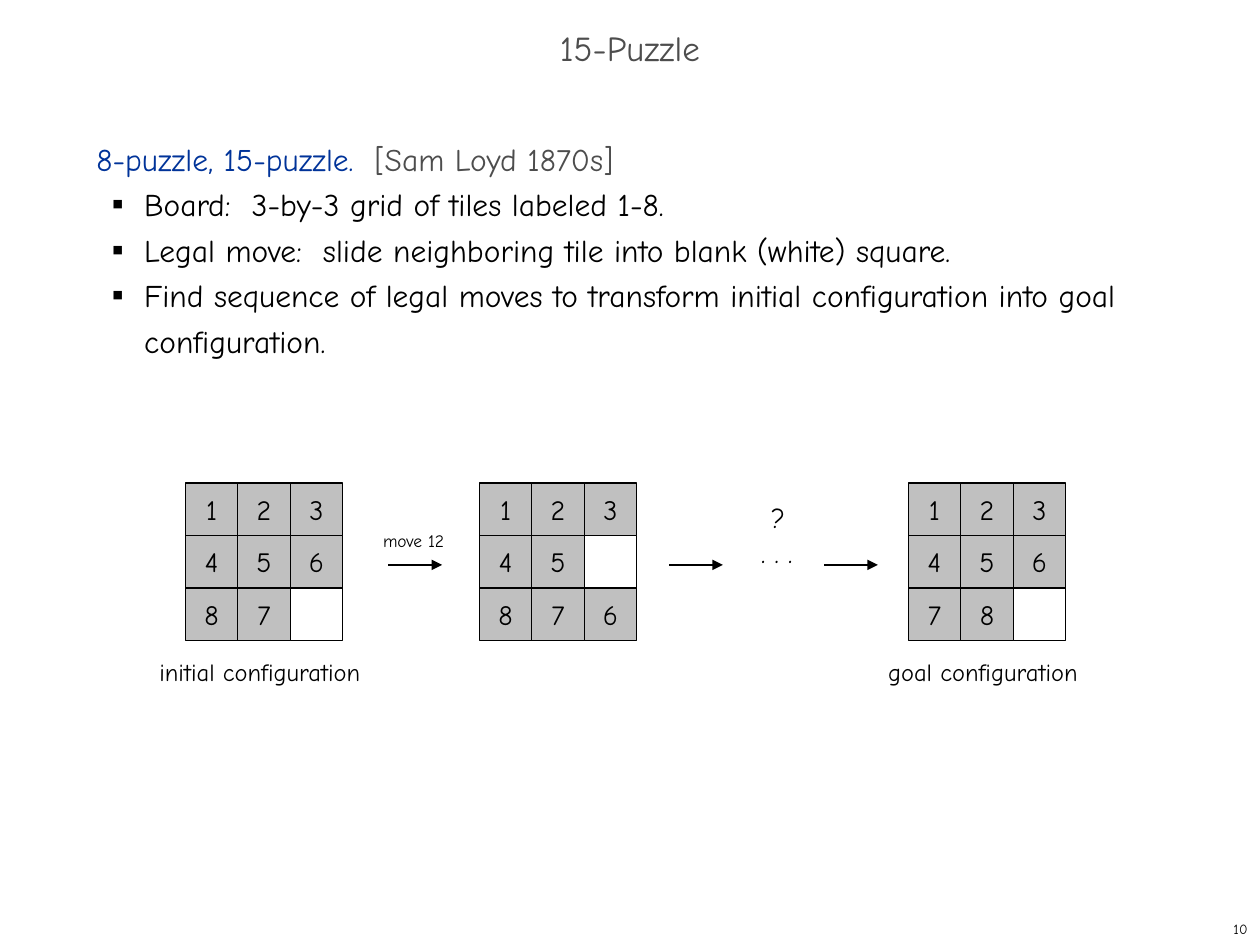
"""Build the 15-Puzzle slide: title, rules and three sliding-tile boards."""
from lxml.etree import SubElement
from pptx import Presentation
from pptx.dml.color import RGBColor
from pptx.enum.shapes import MSO_CONNECTOR as Connector, MSO_SHAPE as Shape
from pptx.enum.text import MSO_ANCHOR as Anchor, PP_ALIGN as Align
from pptx.oxml.ns import qn
from pptx.util import Inches, Pt

FONT = "Comic Neue"
COLUMNS, ROWS = 24, 18
WIDTH, HEIGHT = Inches(10), Inches(7.5)
BLACK, WHITE, SILVER, GRAY, BLUE = "000000", "FFFFFF", "C0C0C0", "4D4D4D", "003399"
BOARD_ROW, ARROW_ROW, CAPTION_ROW = 9.2, 10.76, 12.4
BOARDS = [(3.53, "12345687 "), (17.3, "12345678 "), (9.13, "12345 876")]
ARROWS = [7.4, 12.75, 15.7]
ARROW_LENGTH = 1.02
LABELS = [
    ("initial configuration", 14, (2.8, CAPTION_ROW, 4.32, 0.8)),
    ("goal configuration", 14, (16.68, CAPTION_ROW, 4.1, 0.8)),
    ("move 12", 10, (7.06, 9.98, 1.66, 0.65)),
    (". . .", 16, (14.26, 10.08, 1.08, 0.89)),
    ("?", 16, (14.45, 9.41, 0.74, 0.89)),
]
HEADING = [("8-puzzle, 15-puzzle.  ", BLUE), ("[Sam Loyd 1870s]", GRAY)]
RULES = [
    "Board:  3-by-3 grid of tiles labeled 1-8.",
    "Legal move:  slide neighboring tile into blank (white) square.",
    "Find sequence of legal moves to transform initial configuration into goal configuration.",
]


def color(value):
    """Turn a hex string into a colour."""
    return RGBColor.from_string(value)


def apply(target, formats):
    """Set each attribute in a dict of format values."""
    for name, value in formats.items():
        setattr(target, name, value)


def grid(column, row):
    """Turn grid columns and rows into slide lengths."""
    return round(WIDTH * column / COLUMNS), round(HEIGHT * row / ROWS)


def place(area):
    """Turn left, top, width and height in grid units into slide lengths."""
    left, top, width, height = area
    return *grid(left, top), *grid(width, height)


def write(para, spans, size, **formats):
    """Fill a paragraph with coloured spans."""
    apply(para, formats)
    for text, shade in spans:
        span = para.add_run()
        span.text = text
        apply(span.font, {"name": FONT, "size": Pt(size)})
        span.font.color.rgb = color(shade)


def add_text(page, area, spans, size, frame=None, **formats):
    """Add a text box with one paragraph and return its text frame."""
    box = page.shapes.add_textbox(*place(area))
    apply(box.text_frame, frame or {"word_wrap": True})
    write(box.text_frame.paragraphs[0], spans, size, **formats)
    return box.text_frame


def add_bullet(para):
    """Give a paragraph a hanging indent and a small square bullet."""
    props = para._p.get_or_add_pPr()
    apply_indent = {"marL": Inches(0.38), "indent": Inches(-0.25)}
    for name, value in apply_indent.items():
        props.set(name, str(int(value)))
    SubElement(SubElement(props, qn("a:buClr")), qn("a:srgbClr"), val=BLACK)
    SubElement(props, qn("a:buSzPct"), val="35000")
    SubElement(props, qn("a:buFont"), typeface=FONT)
    SubElement(props, qn("a:buChar"), char="■")


def add_rules(page):
    """Add the heading and the bulleted rules."""
    spacing = {"line_spacing": Pt(26)}
    frame = add_text(page, (1.6, 2.4, 20.6, 14.2), HEADING, 18, **spacing)
    for rule in RULES:
        para = frame.add_paragraph()
        add_bullet(para)
        write(para, [(rule, BLACK)], 18, level=1, **spacing)


def add_tile(page, column, row, digit):
    """Add one board square, white when it holds no digit."""
    tile = page.shapes.add_shape(Shape.RECTANGLE, *place((column, row, 1, 1)))
    tile.shadow.inherit = False
    tile.fill.solid()
    tile.fill.fore_color.rgb = color(SILVER if digit.strip() else WHITE)
    tile.line.color.rgb = color(BLACK)
    tile.line.width = Pt(0.75)
    if digit.strip():
        apply(tile.text_frame, {"word_wrap": False, "vertical_anchor": Anchor.MIDDLE})
        write(tile.text_frame.paragraphs[0], [(digit, BLACK)], 16, alignment=Align.CENTER)


def add_board(page, left, digits):
    """Add a 3-by-3 board from a string of nine squares."""
    for index, digit in enumerate(digits):
        row, column = divmod(index, 3)
        add_tile(page, left + column, BOARD_ROW + row, digit)


def add_arrow(page, left):
    """Add a short arrow that points right."""
    ends = *grid(left, ARROW_ROW), *grid(left + ARROW_LENGTH, ARROW_ROW)
    arrow = page.shapes.add_connector(Connector.STRAIGHT, *ends)
    arrow.line.color.rgb = color(BLACK)
    arrow.line.width = Pt(0.75)
    SubElement(arrow.line._get_or_add_ln(), qn("a:tailEnd"), type="triangle")
    SubElement(arrow._element.spPr, qn("a:effectLst"))


def main():
    """Build and save the slide."""
    deck = Presentation()
    apply(deck, {"slide_width": WIDTH, "slide_height": HEIGHT})
    page = deck.slides.add_slide(deck.slide_layouts[6])
    middle = {"word_wrap": True, "vertical_anchor": Anchor.MIDDLE}
    add_text(page, (0, 0.4, COLUMNS, 1.2), [("15-Puzzle", GRAY)], 20, middle,
             alignment=Align.CENTER, line_spacing=0.7)
    add_rules(page)
    for left, digits in BOARDS:
        add_board(page, left, digits)
    for left in ARROWS:
        add_arrow(page, left)
    for text, size, area in LABELS:
        add_text(page, area, [(text, BLACK)], size, {"word_wrap": False})
    add_text(page, (19, 17.4, 5, 0.6), [("10", BLACK)], 8, middle, alignment=Align.RIGHT)
    deck.save("out.pptx")


if __name__ == "__main__":
    main()
